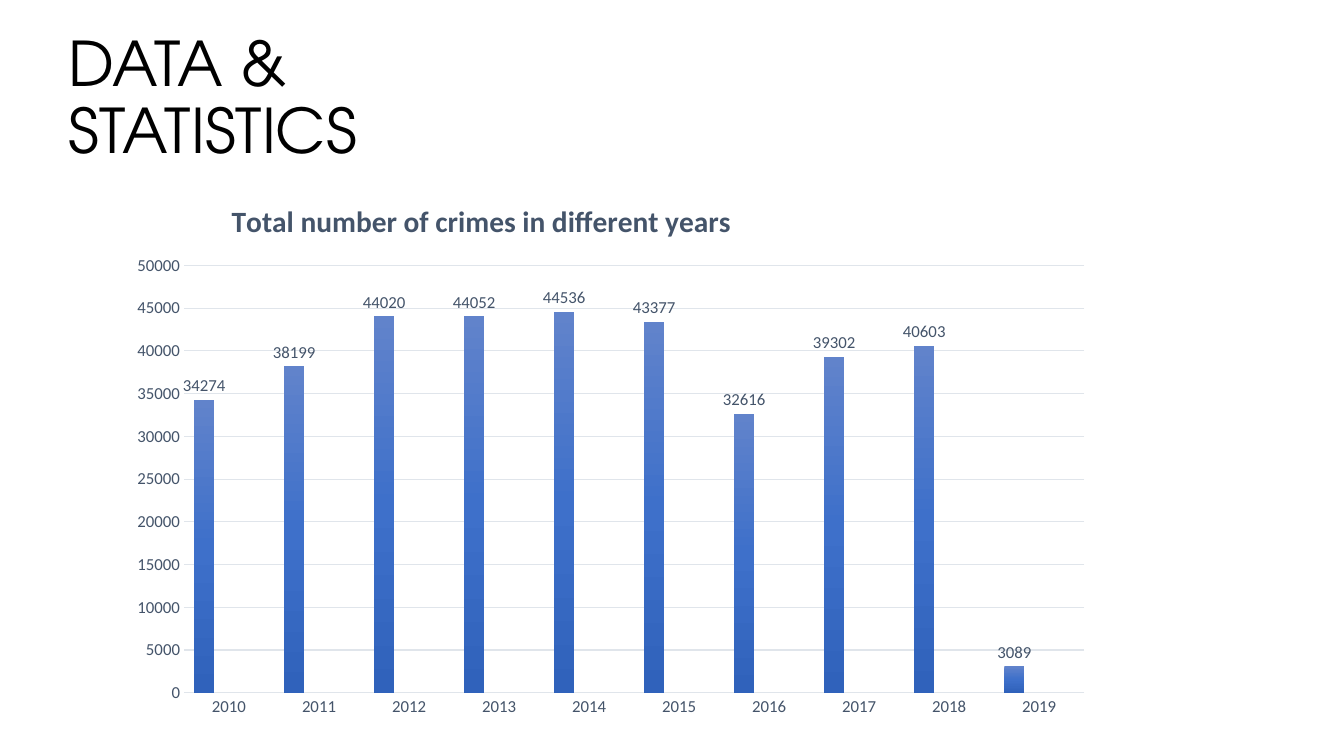
"""Build the slide with the yearly crime totals as a column chart."""
from dataclasses import dataclass

from pptx import Presentation
from pptx.chart.axis import _BaseAxis
from pptx.chart.chart import Chart
from pptx.chart.data import CategoryChartData
from pptx.chart.series import BarSeries
from pptx.dml.color import RGBColor
from pptx.enum.chart import XL_CHART_TYPE, XL_LABEL_POSITION, XL_TICK_MARK
from pptx.enum.text import MSO_ANCHOR, MSO_AUTO_SIZE, PP_ALIGN
from pptx.oxml import parse_xml
from pptx.oxml.ns import nsdecls
from pptx.slide import Slide
from pptx.text.text import Font
from pptx.util import Inches, Pt

BLACK = RGBColor(0x00, 0x00, 0x00)
SLATE = RGBColor(0x44, 0x54, 0x6A)
PALE_GREY = RGBColor(0xE0, 0xE5, 0xEB)
BLUES = (RGBColor(0x61, 0x83, 0xCB), RGBColor(0x3E, 0x70, 0xCA), RGBColor(0x30, 0x62, 0xBB))
ORANGES = (RGBColor(0xF1, 0x8C, 0x57), RGBColor(0xF6, 0x7B, 0x28), RGBColor(0xE5, 0x6C, 0x19))
GREYS = (RGBColor(0xAF, 0xAF, 0xAF), RGBColor(0xA5, 0xA5, 0xA5), RGBColor(0x93, 0x93, 0x93))

YEARS = [str(year) for year in range(2010, 2020)]
CRIMES = (34274, 38199, 44020, 44052, 44536, 43377, 32616, 39302, 40603, 3089)


@dataclass(frozen=True)
class YearSeries:
    """One chart series with its values and gradient colours."""

    name: str
    values: tuple[int | None, ...]
    gradient: tuple[RGBColor, ...]


NO_VALUES = (None,) * len(YEARS)
ALL_SERIES = (
    YearSeries("Series 1", CRIMES, BLUES),
    YearSeries("Series 2", NO_VALUES, ORANGES),
    YearSeries("Series 3", NO_VALUES, GREYS),
)


def style_font(font: Font, size: float, color: RGBColor, name: str = "Calibri", bold: bool = False) -> None:
    """Set family, size, colour and weight of a font."""
    font.name = name
    font.size = Pt(size)
    font.bold = bold
    font.color.rgb = color


def add_heading(slide: Slide) -> None:
    """Place and fill the title placeholder."""
    heading = slide.shapes.title
    heading.left, heading.top = Inches(0.58), Inches(0.27)
    heading.width, heading.height = Inches(4.9), Inches(1.45)
    frame = heading.text_frame
    frame.word_wrap = True
    frame.auto_size = MSO_AUTO_SIZE.NONE
    frame.vertical_anchor = MSO_ANCHOR.MIDDLE
    paragraph = frame.paragraphs[0]
    paragraph.alignment = PP_ALIGN.LEFT
    paragraph.line_spacing = 0.9
    run = paragraph.add_run()
    run.text = "DATA & STATISTICS"
    style_font(run.font, 44, BLACK, "TeX Gyre Adventor")


def set_layout(parent, index: int, target: str = "", **fractions: float) -> None:
    """Give a chart part a manual layout in fractions of the chart."""
    for old in parent.findall("{*}layout"):
        parent.remove(old)
    inner = f'<c:layoutTarget val="{target}"/>' if target else ""
    modes = "".join(f'<c:{axis}Mode val="edge"/>' for axis in "xy")
    places = "".join(f'<c:{key} val="{value}"/>' for key, value in fractions.items())
    parent.insert(index, parse_xml(
        f'<c:layout {nsdecls("c")}><c:manualLayout>{inner}{modes}{places}</c:manualLayout></c:layout>'))


def style_series(series: BarSeries, gradient: tuple[RGBColor, ...]) -> None:
    """Fill the columns from top to bottom and label their values."""
    stops = "".join(
        f'<a:gs pos="{position * 50000}"><a:srgbClr val="{color}"/></a:gs>'
        for position, color in enumerate(gradient))
    series._element.get_or_add_spPr().insert(0, parse_xml(
        f'<a:gradFill {nsdecls("a")}><a:gsLst>{stops}</a:gsLst><a:lin ang="5400000" scaled="0"/></a:gradFill>'))
    labels = series.data_labels
    labels.show_value = True
    labels.position = XL_LABEL_POSITION.OUTSIDE_END
    style_font(labels.font, 12, SLATE)


def style_axis(axis: _BaseAxis) -> None:
    """Remove tick marks and style the axis labels."""
    axis.major_tick_mark = axis.minor_tick_mark = XL_TICK_MARK.NONE
    style_font(axis.tick_labels.font, 12, SLATE)


def style_axes(chart: Chart) -> None:
    """Set scale, gridlines and axis lines."""
    years, crimes = chart.category_axis, chart.value_axis
    style_axis(years)
    style_axis(crimes)
    crimes.minimum_scale, crimes.maximum_scale, crimes.major_unit = 0, 50000, 5000
    crimes.format.line.fill.background()
    for line in (years.format.line, crimes.major_gridlines.format.line):
        line.color.rgb = PALE_GREY
        line.width = Pt(0.75)


def add_crime_chart(slide: Slide) -> None:
    """Add the column chart of crimes per year."""
    crime_data = CategoryChartData()
    crime_data.categories = YEARS
    for entry in ALL_SERIES:
        crime_data.add_series(entry.name, entry.values)
    chart = slide.shapes.add_chart(
        XL_CHART_TYPE.COLUMN_CLUSTERED, Inches(1.17), Inches(1.72), Inches(9.78), Inches(5.5), crime_data).chart
    style_font(chart.font, 10, BLACK)
    chart.has_legend = False
    chart.has_title = True
    caption = chart.chart_title.text_frame.paragraphs[0].add_run()
    caption.text = "Total number of crimes in different years"
    style_font(caption.font, 21, SLATE, bold=True)
    set_layout(chart.chart_title._element, 1, x=0.11, y=0.04)
    set_layout(chart._chartSpace.chart.plotArea, 0, "inner", x=0.067, y=0.166, w=0.913, h=0.771)
    plot = chart.plots[0]
    plot.gap_width, plot.overlap, plot.vary_by_categories = 100, -24, False
    for series, entry in zip(plot.series, ALL_SERIES):
        style_series(series, entry.gradient)
    style_axes(chart)


def main() -> None:
    """Create and save the presentation."""
    presentation = Presentation()
    presentation.slide_width, presentation.slide_height = Inches(13.33), Inches(7.5)
    slide = presentation.slides.add_slide(presentation.slide_layouts[5])
    add_heading(slide)
    add_crime_chart(slide)
    presentation.save("out.pptx")


if __name__ == "__main__":
    main()
